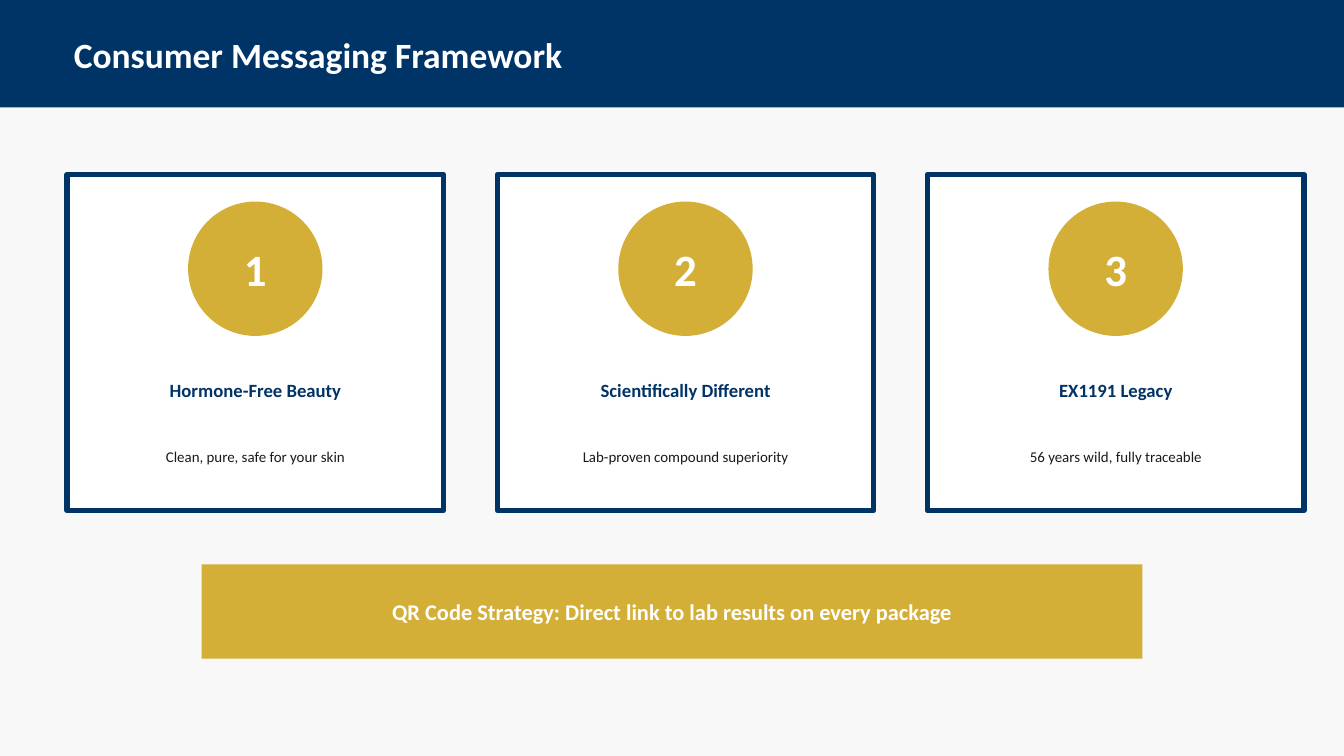
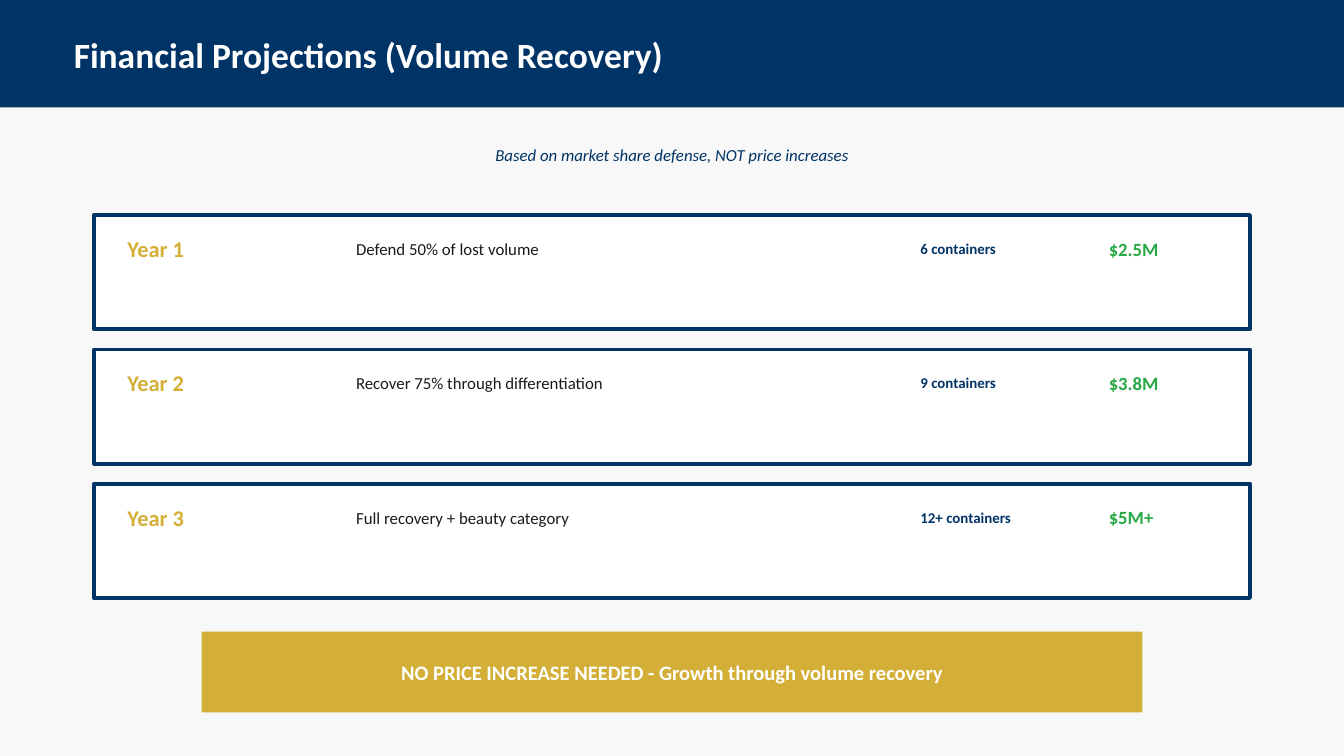
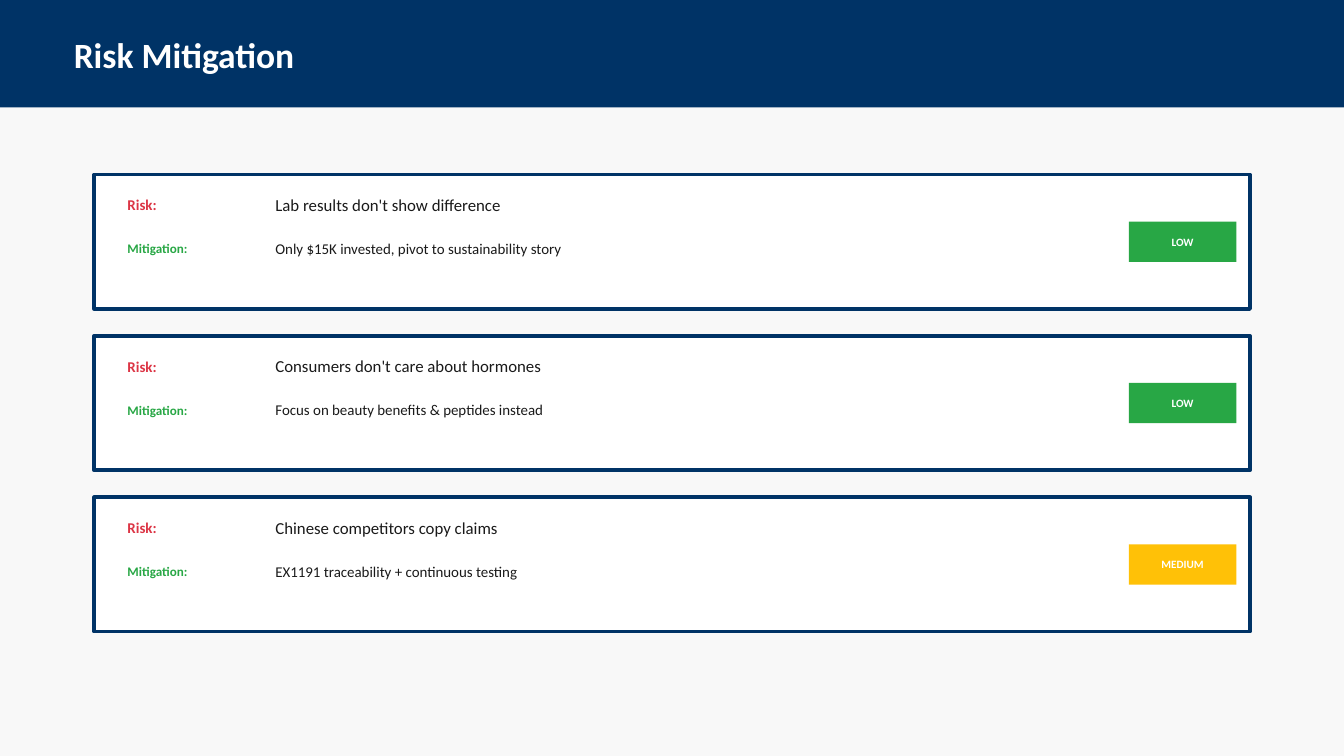
from pptx import Presentation
from pptx.dml.color import RGBColor
from pptx.enum.shapes import MSO_SHAPE as Shape
from pptx.enum.text import MSO_ANCHOR as Anchor, PP_ALIGN as Align
from pptx.util import Cm, Pt

FONT = "Calibri"
NAVY = RGBColor(0x00, 0x33, 0x66)
GOLD = RGBColor(0xD4, 0xAF, 0x37)
GREEN = RGBColor(0x28, 0xA7, 0x45)
AMBER = RGBColor(0xFF, 0xC1, 0x07)
RED = RGBColor(0xDC, 0x35, 0x45)
INK = RGBColor(0x1A, 0x1A, 0x1A)
WHITE = RGBColor(0xFF, 0xFF, 0xFF)
PAPER = RGBColor(0xF8, 0xF8, 0xF8)

SLIDE_WIDTH = 50.8
ROW_LEFT, ROW_WIDTH = 3.56, 43.69
LABEL_LEFT = 4.57
BANNER_LEFT, BANNER_WIDTH = 7.62, 35.56


def add_box(slide, left, top, width, height, fill=None, border=0, outline=Shape.RECTANGLE):
    """Add a filled shape, or a plain text box when there is no fill; lengths in cm."""
    place = Cm(left), Cm(top), Cm(width), Cm(height)
    if fill is None:
        return slide.shapes.add_textbox(*place)
    box = slide.shapes.add_shape(outline, *place)
    box.shadow.inherit = False
    box.fill.solid()
    box.fill.fore_color.rgb = fill
    if border:
        box.line.color.rgb = NAVY
        box.line.width = Pt(border)
    else:
        box.line.fill.background()
    return box


def write(box, text, size, color, bold=False, italic=False, align=Align.LEFT):
    frame = box.text_frame
    frame.word_wrap = True
    frame.vertical_anchor = Anchor.MIDDLE
    paragraph = frame.paragraphs[0]
    paragraph.text = text
    paragraph.alignment = align
    font = paragraph.font
    font.name, font.size, font.bold, font.italic = FONT, Pt(size), bold, italic
    font.color.rgb = color


deck = Presentation()
deck.slide_width, deck.slide_height = Cm(SLIDE_WIDTH), Cm(28.58)

# Background, header band and title of every slide
slides = []
for title in (
    "Consumer Messaging Framework",
    "Financial Projections (Volume Recovery)",
    "Risk Mitigation",
):
    slide = deck.slides.add_slide(deck.slide_layouts[6])
    slide.background.fill.solid()
    slide.background.fill.fore_color.rgb = PAPER
    add_box(slide, 0, 0, SLIDE_WIDTH, 4.06, NAVY)
    write(add_box(slide, 2.54, 1.02, 45.72, 2.03), title, 38, WHITE, bold=True)
    slides.append(slide)
messaging, projections, risks = slides

# Consumer messaging: three numbered cards
messages = [
    ("Hormone-Free Beauty", "Clean, pure, safe for your skin"),
    ("Scientifically Different", "Lab-proven compound superiority"),
    ("EX1191 Legacy", "56 years wild, fully traceable"),
]
for index, (headline, promise) in enumerate(messages):
    left = 2.54 + index * 16.26
    add_box(messaging, left, 6.6, 14.22, 12.7, WHITE, border=6)
    number = add_box(messaging, left + 4.57, 7.62, 5.08, 5.08, GOLD, outline=Shape.OVAL)
    write(number, str(index + 1), 48, WHITE, bold=True, align=Align.CENTER)
    write(add_box(messaging, left + 1.02, 13.72, 12.19, 2.03),
          headline, 20, NAVY, bold=True, align=Align.CENTER)
    write(add_box(messaging, left + 1.02, 16, 12.19, 2.54),
          promise, 16, INK, align=Align.CENTER)

# Financial projections: one row per year
write(add_box(projections, 5.08, 5.08, 40.64, 1.52),
      "Based on market share defense, NOT price increases",
      18, NAVY, italic=True, align=Align.CENTER)
years = [
    ("Year 1", "Defend 50% of lost volume", "6 containers", "$2.5M"),
    ("Year 2", "Recover 75% through differentiation", "9 containers", "$3.8M"),
    ("Year 3", "Full recovery + beauty category", "12+ containers", "$5M+"),
]
for index, (year, goal, volume, revenue) in enumerate(years):
    top = 8.13 + index * 5.08
    add_box(projections, ROW_LEFT, top, ROW_WIDTH, 4.32, WHITE, border=4)
    write(add_box(projections, LABEL_LEFT, top + 0.51, 7.62, 1.52), year, 24, GOLD, bold=True)
    write(add_box(projections, 13.21, top + 0.51, 20.32, 1.52), goal, 18, INK)
    write(add_box(projections, 34.54, top + 0.76, 6.1, 1.02), volume, 16, NAVY, bold=True)
    write(add_box(projections, 41.66, top + 0.51, 5.08, 1.52), revenue, 20, GREEN, bold=True)

# Gold banners closing the first two slides
for slide, top, height, size, takeaway in (
    (messaging, 21.34, 3.56, 24,
     "QR Code Strategy: Direct link to lab results on every package"),
    (projections, 23.88, 3.05, 22,
     "NO PRICE INCREASE NEEDED - Growth through volume recovery"),
):
    banner = add_box(slide, BANNER_LEFT, top, BANNER_WIDTH, height, GOLD)
    write(banner, takeaway, size, WHITE, bold=True, align=Align.CENTER)

# Risk mitigation: one row per risk, with its level as a badge
level_colors = {"LOW": GREEN, "MEDIUM": AMBER}
risk_rows = [
    ("Lab results don't show difference",
     "Only $15K invested, pivot to sustainability story", "LOW"),
    ("Consumers don't care about hormones",
     "Focus on beauty benefits & peptides instead", "LOW"),
    ("Chinese competitors copy claims",
     "EX1191 traceability + continuous testing", "MEDIUM"),
]
for index, (risk, mitigation, level) in enumerate(risk_rows):
    top = 6.6 + index * 6.1
    add_box(risks, ROW_LEFT, top, ROW_WIDTH, 5.08, WHITE, border=4)
    write(add_box(risks, LABEL_LEFT, top + 0.51, 5.08, 1.27), "Risk:", 16, RED, bold=True)
    write(add_box(risks, 10.16, top + 0.51, 34.54, 1.27), risk, 18, INK)
    write(add_box(risks, LABEL_LEFT, top + 2.29, 6.1, 1.02), "Mitigation:", 14, GREEN, bold=True)
    write(add_box(risks, 10.16, top + 2.29, 31.5, 1.02), mitigation, 16, INK)
    badge = add_box(risks, 42.67, top + 1.78, 4.06, 1.52, level_colors[level])
    write(badge, level, 12, WHITE, bold=True, align=Align.CENTER)

deck.save("out.pptx")
